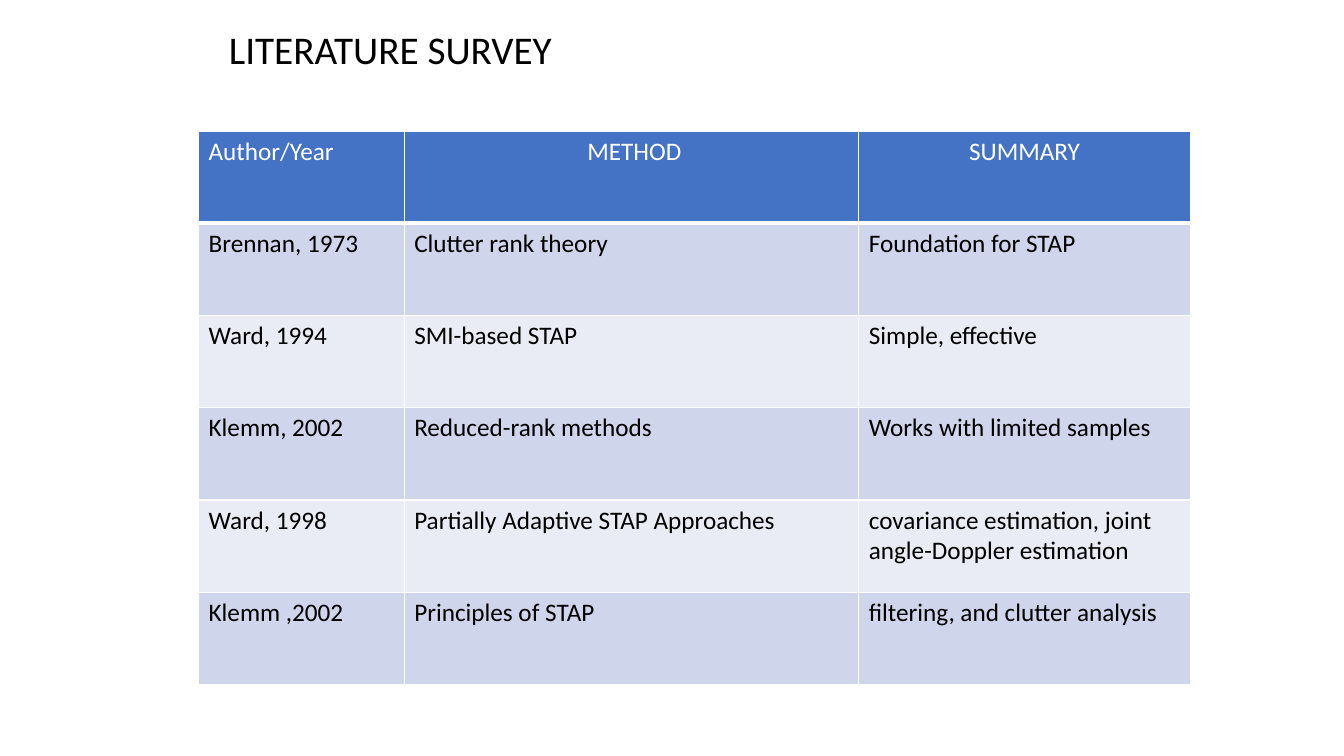
from lxml.etree import SubElement
from pptx import Presentation
from pptx.dml.color import RGBColor
from pptx.enum.text import MSO_ANCHOR as Anchor, MSO_AUTO_SIZE as AutoSize, PP_ALIGN as Align
from pptx.oxml.ns import qn
from pptx.util import Pt

BLACK = RGBColor(0x00, 0x00, 0x00)
WHITE = RGBColor(0xFF, 0xFF, 0xFF)
HEADER_BLUE = RGBColor(0x44, 0x72, 0xC4)
BAND_DARK = RGBColor(0xCF, 0xD5, 0xEA)
BAND_LIGHT = RGBColor(0xE9, 0xEB, 0xF5)

SURVEY = [
    ("Author/Year", " METHOD", "SUMMARY"),
    ("Brennan, 1973", "Clutter rank theory", "Foundation for STAP"),
    ("Ward, 1994", "SMI-based STAP", "Simple, effective"),
    ("Klemm, 2002", "Reduced-rank methods", "Works with limited samples"),
    ("Ward, 1998", "Partially Adaptive STAP Approaches",
     "covariance estimation, joint angle-Doppler estimation"),
    ("Klemm ,2002", "Principles of STAP", "filtering, and clutter analysis"),
]
COLUMN_WIDTHS = [146.88, 324.72, 236.88]
ROW_HEIGHT = 65.88


class SlideBuilder:
    font_name = "Calibri"

    def __init__(self, slide):
        self.slide = slide

    def fill_text(self, text_frame, text, size, color, align=Align.LEFT):
        text_frame.text = text
        paragraph = text_frame.paragraphs[0]
        paragraph.alignment = align
        font = paragraph.runs[0].font
        formats = {"name": self.font_name, "size": Pt(size), "bold": False}
        for name, value in formats.items():
            setattr(font, name, value)
        font.color.rgb = color

    def title(self, text, left, top, width, height, size):
        shape = self.slide.shapes.title
        box = {"left": left, "top": top, "width": width, "height": height}
        for name, value in box.items():
            setattr(shape, name, Pt(value))
        frame = shape.text_frame
        formats = {"word_wrap": True, "auto_size": AutoSize.SHAPE_TO_FIT_TEXT,
                   "vertical_anchor": Anchor.TOP}
        for name, value in formats.items():
            setattr(frame, name, value)
        self.fill_text(frame, text, size, BLACK)

    def borders(self, cell, bottom_width):
        properties = cell._tc.get_or_add_tcPr()
        for side, width in {"L": 1, "R": 1, "T": 1, "B": bottom_width}.items():
            line = SubElement(properties, qn(f"a:ln{side}"), w=str(Pt(width)))
            fill = SubElement(line, qn("a:solidFill"))
            SubElement(fill, qn("a:srgbClr"), val=str(WHITE))

    def table(self, rows, left, top, column_widths, row_height, size):
        shape = self.slide.shapes.add_table(
            len(rows), len(column_widths), Pt(left), Pt(top),
            Pt(sum(column_widths)), Pt(row_height * len(rows)))
        table = shape.table
        for column, width in zip(table.columns, column_widths):
            column.width = Pt(width)
        for row_index, texts in enumerate(rows):
            table.rows[row_index].height = Pt(row_height)
            header = row_index == 0
            band = BAND_DARK if row_index % 2 else BAND_LIGHT
            for column_index, text in enumerate(texts):
                cell = table.cell(row_index, column_index)
                self.borders(cell, 3 if header else 1)
                cell.fill.solid()
                cell.fill.fore_color.rgb = HEADER_BLUE if header else band
                align = Align.CENTER if header and column_index else Align.LEFT
                self.fill_text(cell.text_frame, text, size, WHITE if header else BLACK, align)


def main():
    presentation = Presentation()
    presentation.slide_width, presentation.slide_height = Pt(960), Pt(540)
    title_only = presentation.slide_layouts[5]
    builder = SlideBuilder(presentation.slides.add_slide(title_only))
    builder.title("LITERATURE SURVEY", 156.24, 14.4, 375.12, 41.04, size=28)
    builder.table(SURVEY, 141.84, 93.6, COLUMN_WIDTHS, ROW_HEIGHT, size=18)
    presentation.save("out.pptx")


if __name__ == "__main__":
    main()
